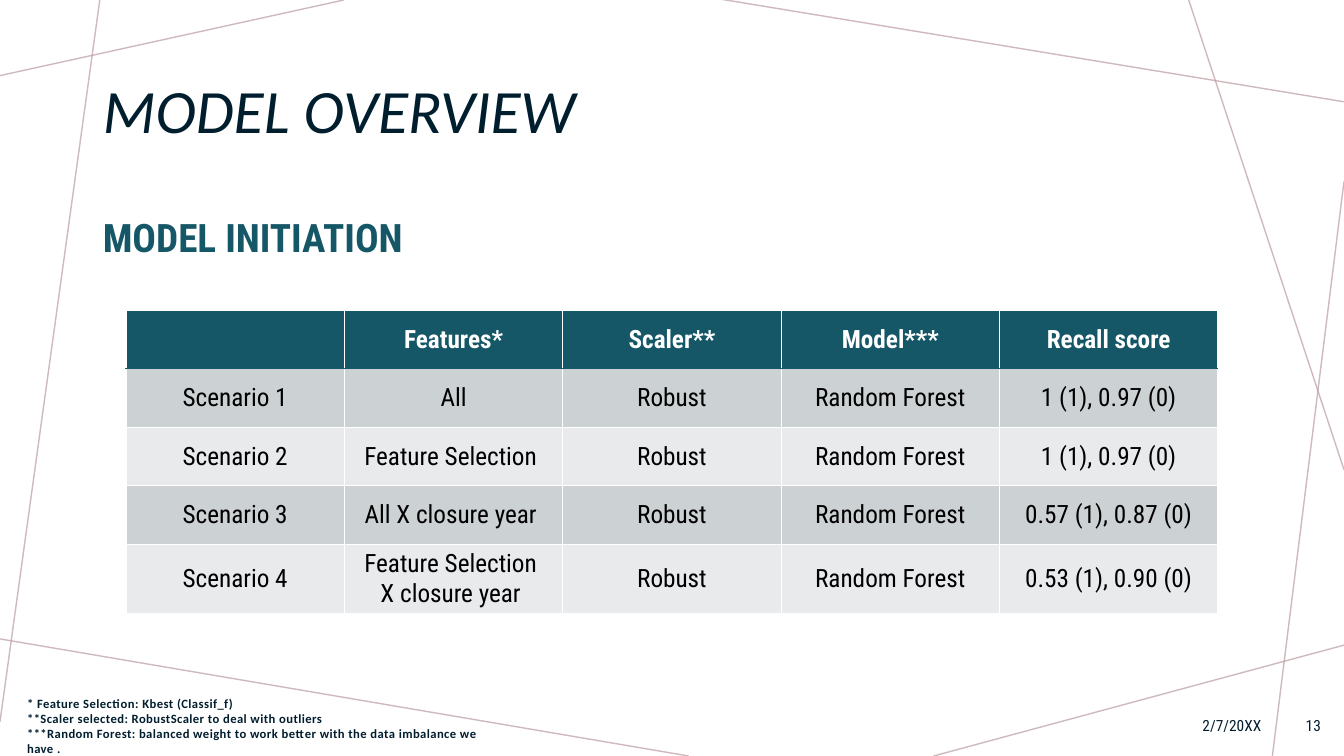
import pptx
import pptx.util
import pptx.dml.color
import pptx.enum.text
import pptx.oxml
import pptx.oxml.ns

Inches, Pt = pptx.util.Inches, pptx.util.Pt
ALIGN = pptx.enum.text.PP_ALIGN
MID = pptx.enum.text.MSO_ANCHOR.MIDDLE

# Content
TITLE = "MODEL OVERVIEW"
HEAD = "MODEL INITIATION"
NOTES = [
    "* Feature Selection: Kbest (Classif_f)",
    "**Scaler selected: RobustScaler to deal with outliers",
    "***Random Forest: balanced weight to work better with the data imbalance we have .",
]
DATE, PAGE = "2/7/20XX", "13"
ROWS = [
    ("", "Features*", "Scaler**", "Model***", "Recall score"),
    ("Scenario 1", "All", "Robust", "Random Forest", "1 (1), 0.97 (0)"),
    ("Scenario 2", "Feature Selection ", "Robust", "Random Forest", "1 (1), 0.97 (0)"),
    ("Scenario 3", "All X closure year ", "Robust", "Random Forest", "0.57 (1), 0.87 (0)"),
    ("Scenario 4", "Feature Selection \nX closure year ", "Robust", "Random Forest",
     "0.53 (1), 0.90 (0)"),
]
LINES = [  # x1, y1, x2, y2
    (3.41, 0, 0, 0.75), (0.99, 0, 0, 7.16), (6.83, 7.5, -0.05, 6.33),
    (13.33, 6.4, 9.26, 7.5), (13.33, 1.8, 12.62, 7.5),
    (13.33, 4.66, 11.79, 0), (13.33, 1.01, 7.14, -0.01),
]

# Style
SANS, COND = "Calibri", "Roboto Condensed"
INK, TEAL, ROSE, WHITE, BLACK = "001E2E", "155767", "BA9CA0", "FFFFFF", "000000"
BANDS = ("E8EAEB", "CCD1D3")


def color(code):
    return pptx.dml.color.RGBColor.from_string(code)


def xml(tag, body="", attrs=""):
    space = pptx.oxml.ns.nsdecls("a")
    return pptx.oxml.parse_xml(f"<a:{tag} {space} {attrs}>{body}</a:{tag}>")


def write(frame, lines, font, size, ink, bold=False, italic=False, align=ALIGN.LEFT):
    frame.word_wrap = True
    frame.auto_size = pptx.enum.text.MSO_AUTO_SIZE.NONE
    frame.vertical_anchor = MID
    for i, line in enumerate(lines):
        para = frame.add_paragraph() if i else frame.paragraphs[0]
        para.alignment = align
        run = para.add_run()
        run.text = line
        run.font.name, run.font.size = font, Pt(size)
        run.font.bold, run.font.italic = bold, italic
        run.font.color.rgb = color(ink)


def place(shape, *box):
    shape.left, shape.top, shape.width, shape.height = map(Inches, box)


def label(box, lines, *style, **more):
    shape = slide.shapes.add_textbox(*map(Inches, box))
    write(shape.text_frame, lines, *style, **more)
    return shape.text_frame


def edge(cell, side, code, width):
    fill = f'<a:solidFill><a:srgbClr val="{code}"/></a:solidFill>'
    return xml("ln" + side, fill, f'w="{Pt(width)}"')


deck = pptx.Presentation()
deck.slide_width, deck.slide_height = Inches(13.33), Inches(7.5)
slide = deck.slides.add_slide(deck.slide_layouts[1])
title, body = slide.placeholders

# Background lines
for x1, y1, x2, y2 in LINES:
    line = slide.shapes.add_connector(1, *map(Inches, (x1, y1, x2, y2)))
    line.line.width = Pt(1)
    line.line.color.rgb = color(ROSE)
    tint = line.line._ln.find(".//" + pptx.oxml.ns.qn("a:srgbClr"))
    tint.append(xml("alpha", attrs='val="70000"'))
    line._element.spPr.append(xml("effectLst"))

# Title and heading
place(title, 0.92, 0.4, 11.5, 1.45)
write(title.text_frame, [TITLE], SANS, 44, INK, italic=True)
title.text_frame.paragraphs[0].line_spacing = 0.9

place(body, 0.92, 1.9, 5.64, 0.9)
write(body.text_frame, [HEAD], COND, 28, TEAL, bold=True)
para = body.text_frame.paragraphs[0]
para.space_before = Pt(10)
props = para._p.get_or_add_pPr()
props.set("marL", "0")
props.set("indent", "0")
props.append(xml("buNone"))

# Footnotes, date and page
notes = label((0.17, 7, 4.92, 0.4), NOTES, SANS, 9, INK, bold=True)
for para in notes.paragraphs:
    para.runs[0].font._element.set("spc", "30")
label((8.02, 7, 4.59, 0.4), [DATE], COND, 11, INK, align=ALIGN.RIGHT)
label((12.69, 7, 0.51, 0.4), [PAGE], COND, 11, INK, align=ALIGN.RIGHT)

# Scenario table
count = len(ROWS)
box = map(Inches, (1.25, 3.08, 10.83, 0.58 * count))
table = slide.shapes.add_table(count, len(ROWS[0]), *box).table
for r, row in enumerate(ROWS):
    for c, text in enumerate(row):
        cell = table.cell(r, c)
        cell.vertical_anchor = MID
        if text:
            write(cell.text_frame, text.split("\n"), COND, 18,
                  BLACK if r else WHITE, bold=r == 0, align=ALIGN.CENTER)
        rule = {"L": (WHITE, 1), "R": (WHITE, 1), "T": (WHITE, 1), "B": (WHITE, 1)}
        if r < 2:
            rule["T" if r else "B"] = (TEAL, 0.75)
        for side, (code, width) in rule.items():
            cell._tc.get_or_add_tcPr().append(edge(cell, side, code, width))
        cell.fill.solid()
        cell.fill.fore_color.rgb = color(BANDS[r % 2] if r else TEAL)

deck.save("out.pptx")
